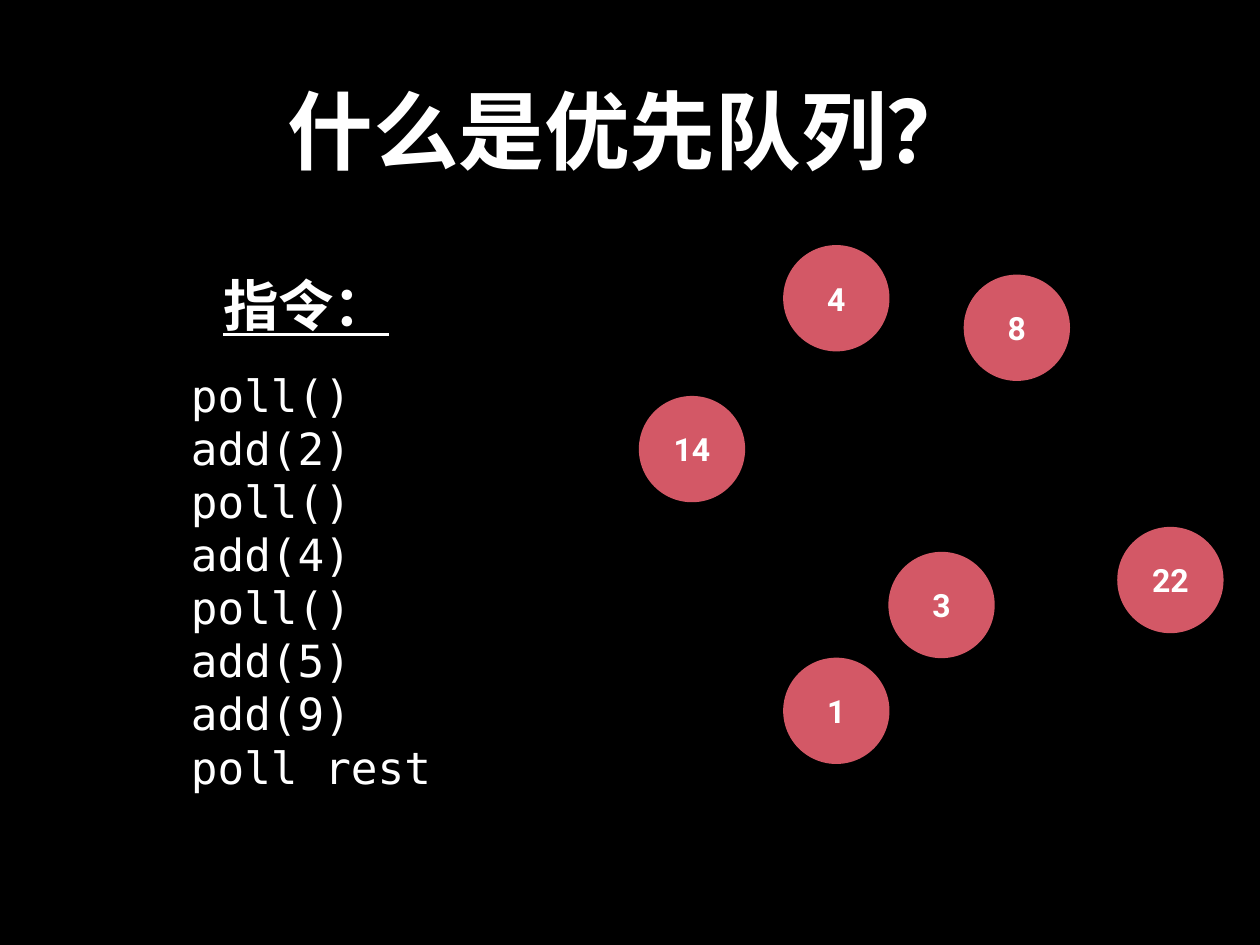
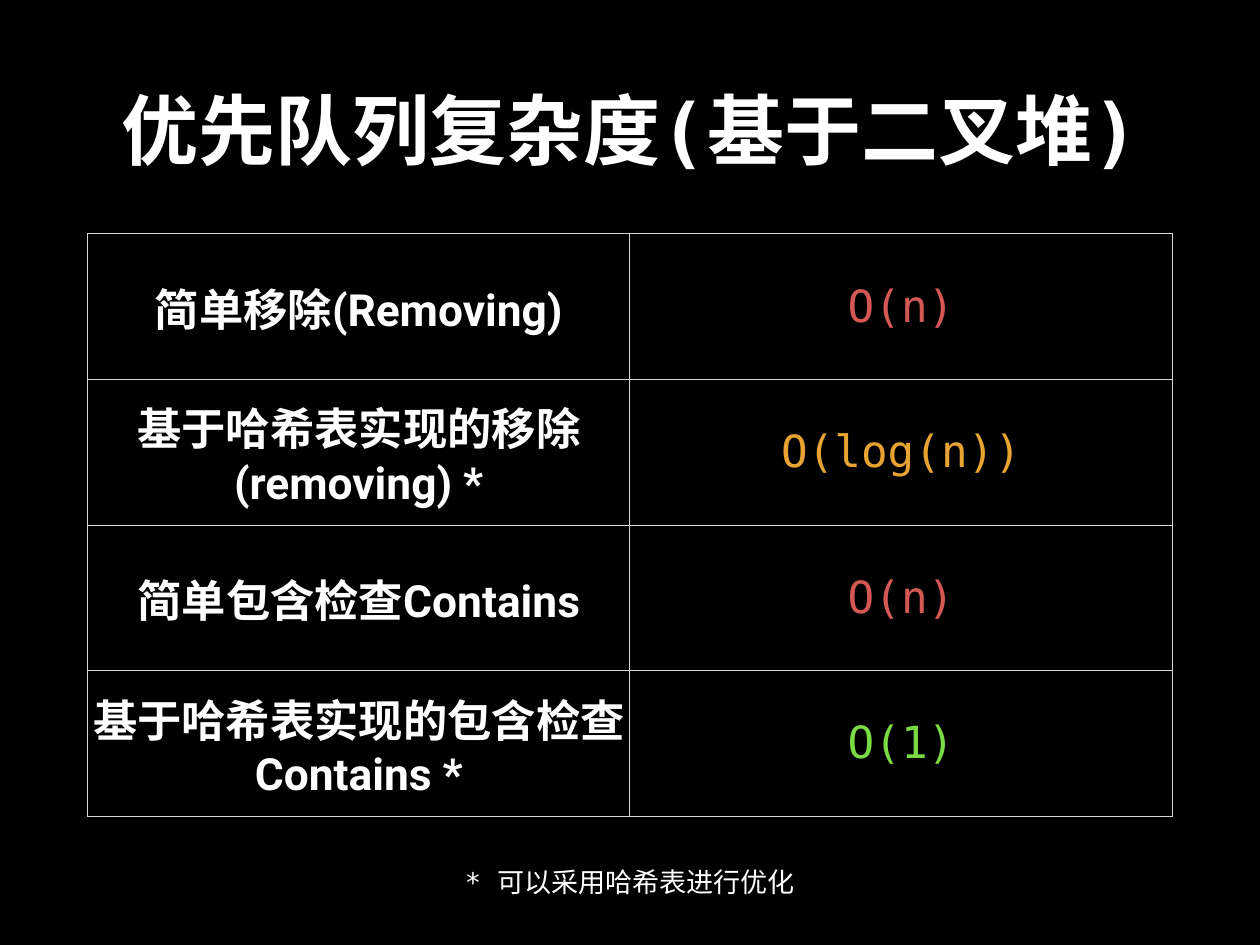
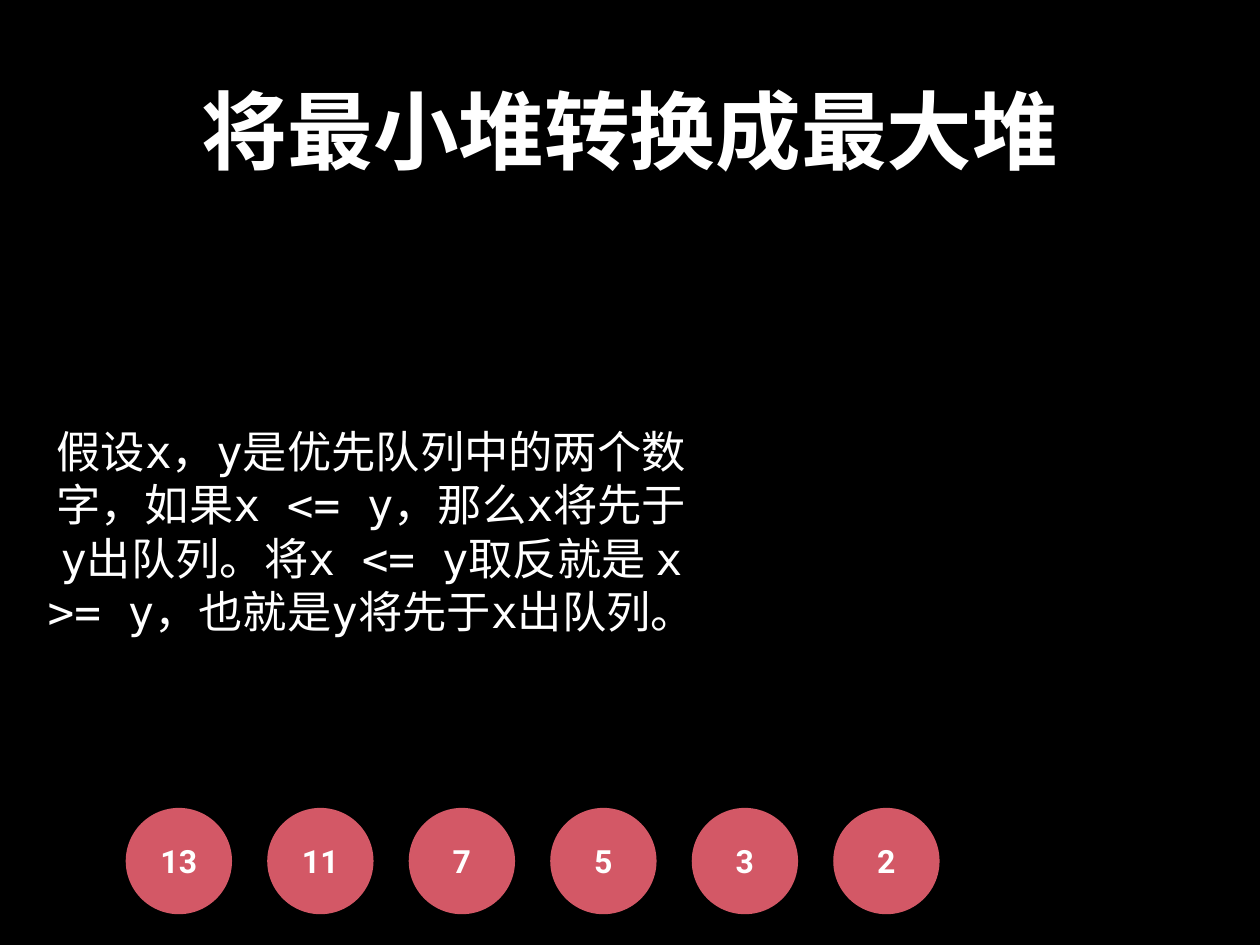
from typing import NamedTuple

from pptx import Presentation
from pptx.dml.color import RGBColor
from pptx.enum.shapes import MSO_SHAPE
from pptx.enum.text import MSO_ANCHOR, MSO_AUTO_SIZE, PP_ALIGN
from pptx.oxml import parse_xml
from pptx.oxml.ns import nsdecls
from pptx.slide import Slide
from pptx.table import _Cell as Cell
from pptx.text.text import TextFrame
from pptx.util import Pt

# Shared style, lengths in points
MONO, SANS = "DejaVu Sans Mono", "Roboto"
BLACK, WHITE, CORAL, BORDER = "000000", "FFFFFF", "D35866", "D6D6D6"
RED, AMBER, GREEN = "D45854", "E8A432", "7BDB45"
INSET = 4
DIAMETER = 86.4


class Style(NamedTuple):
    size: float
    font: str = MONO
    color: str = WHITE
    bold: bool = False
    underline: bool = False
    align: PP_ALIGN = PP_ALIGN.CENTER


class Box(NamedTuple):
    left: float
    top: float
    width: float
    height: float


class Node(NamedTuple):
    label: str
    left: float
    top: float


class Cost(NamedTuple):
    operation: str
    order: str
    color: str


TITLE_BOX = Box(75, 20, 874, 170)
NODE_STYLE = Style(26, SANS, bold=True)
BODY = Style(36)


def rgb(color: str) -> RGBColor:
    return RGBColor.from_string(color)


def write(tf: TextFrame, lines: list[str], style: Style) -> None:
    """Fill a text frame, one paragraph a line."""
    tf.text = "\n".join(lines)
    for p in tf.paragraphs:
        p.alignment = style.align
        font = p.font
        font.name, font.size = style.font, Pt(style.size)
        font.bold, font.underline = style.bold, style.underline
        font.color.rgb = rgb(style.color)


def fit_frame(tf: TextFrame, wrap: bool = True) -> None:
    tf.word_wrap = wrap
    tf.vertical_anchor = MSO_ANCHOR.MIDDLE
    tf.margin_left = tf.margin_right = Pt(INSET)
    tf.margin_top = tf.margin_bottom = Pt(INSET)


def add_titled_slide(title: str, size: float = 69.6) -> Slide:
    s = prs.slides.add_slide(prs.slide_layouts[5])
    sp = s.shapes.title
    sp.left, sp.top, sp.width, sp.height = map(Pt, TITLE_BOX)
    fit_frame(sp.text_frame)
    sp.text_frame.auto_size = MSO_AUTO_SIZE.NONE
    write(sp.text_frame, [title], Style(size, bold=True))
    return s


def add_text(s: Slide, box: Box, lines: list[str], style: Style,
             wrap: bool = False) -> None:
    tf = s.shapes.add_textbox(*map(Pt, box)).text_frame
    fit_frame(tf, wrap)
    tf.auto_size = MSO_AUTO_SIZE.SHAPE_TO_FIT_TEXT
    write(tf, lines, style)


def add_node(s: Slide, node: Node) -> None:
    sp = s.shapes.add_shape(MSO_SHAPE.OVAL, Pt(node.left), Pt(node.top),
                            Pt(DIAMETER), Pt(DIAMETER))
    sp.shadow.inherit = False
    sp.fill.solid()
    sp.fill.fore_color.rgb = rgb(CORAL)
    sp.line.fill.background()
    fit_frame(sp.text_frame)
    write(sp.text_frame, [node.label], NODE_STYLE)


def format_cell(cell: Cell, text: str, style: Style) -> None:
    cell.fill.solid()
    cell.fill.fore_color.rgb = rgb(BLACK)
    cell.vertical_anchor = MSO_ANCHOR.MIDDLE
    cell.margin_left = cell.margin_right = Pt(INSET)
    cell.margin_top = cell.margin_bottom = Pt(INSET)
    write(cell.text_frame, [text], style)
    # Borders come before the fill in the cell properties
    tc_pr = cell._tc.get_or_add_tcPr()
    for i, side in enumerate(("lnL", "lnR", "lnT", "lnB")):
        tc_pr.insert(i, parse_xml(
            f'<a:{side} {nsdecls("a")} w="{Pt(1)}"><a:solidFill>'
            f'<a:srgbClr val="{BORDER}"/></a:solidFill></a:{side}>'))


def add_cost_table(s: Slide, box: Box, costs: list[Cost]) -> None:
    table = s.shapes.add_table(len(costs), 2, *map(Pt, box)).table
    table.first_row = table.horz_banding = False
    for row, cost in enumerate(costs):
        format_cell(table.cell(row, 0), cost.operation,
                    Style(36, SANS, bold=True))
        format_cell(table.cell(row, 1), cost.order,
                    Style(36, color=cost.color))


prs = Presentation()
prs.slide_width, prs.slide_height = Pt(1024), Pt(768)
backdrop = prs.slide_master.background.fill
backdrop.solid()
backdrop.fore_color.rgb = rgb(BLACK)

# Slide 1: what a priority queue is
s = add_titled_slide("什么是优先队列？")
for node in (
    Node("4", 636.5, 199.2),
    Node("8", 783.2, 223.2),
    Node("1", 636.5, 534.5),
    Node("14", 519.2, 321.8),
    Node("3", 722, 448.5),
    Node("22", 908, 428.2),
):
    add_node(s, node)
add_text(s, Box(176.4, 216, 144.7, 62.6), ["指令："],
         Style(45, bold=True, underline=True))
add_text(s, Box(151.2, 283, 226, 377.3),
         ["poll()", "add(2)", "poll()", "add(4)",
          "poll()", "add(5)", "add(9)", "poll rest"],
         BODY._replace(align=PP_ALIGN.LEFT))

# Slide 2: complexity table
s = add_titled_slide("优先队列复杂度(基于二叉堆)", 62.6)
add_cost_table(s, Box(71.3, 190.1, 881.3, 473.6), [
    Cost("简单移除(Removing)", "O(n)", RED),
    Cost("基于哈希表实现的移除(removing) *", "O(log(n))", AMBER),
    Cost("简单包含检查Contains", "O(n)", RED),
    Cost("基于哈希表实现的包含检查Contains *", "O(1)", GREEN),
])
add_text(s, Box(372.2, 699, 279.4, 34.6), ["* 可以采用哈希表进行优化"],
         Style(22))

# Slide 3: from min heap to max heap
s = add_titled_slide("将最小堆转换成最大堆")
ROW_LEFT, ROW_TOP, PITCH = 102.2, 656.6, 115
for i, label in enumerate(("13", "11", "7", "5", "3", "2")):
    add_node(s, Node(label, ROW_LEFT + i * PITCH, ROW_TOP))
add_text(s, Box(32.4, 340, 538.6, 182.9),
         ["假设x，y是优先队列中的两个数字，如果x <= y，那么x将先于y出队列。"
          "将x <= y取反就是 x >= y，也就是y将先于x出队列。"],
         BODY, wrap=True)

prs.save("out.pptx")
